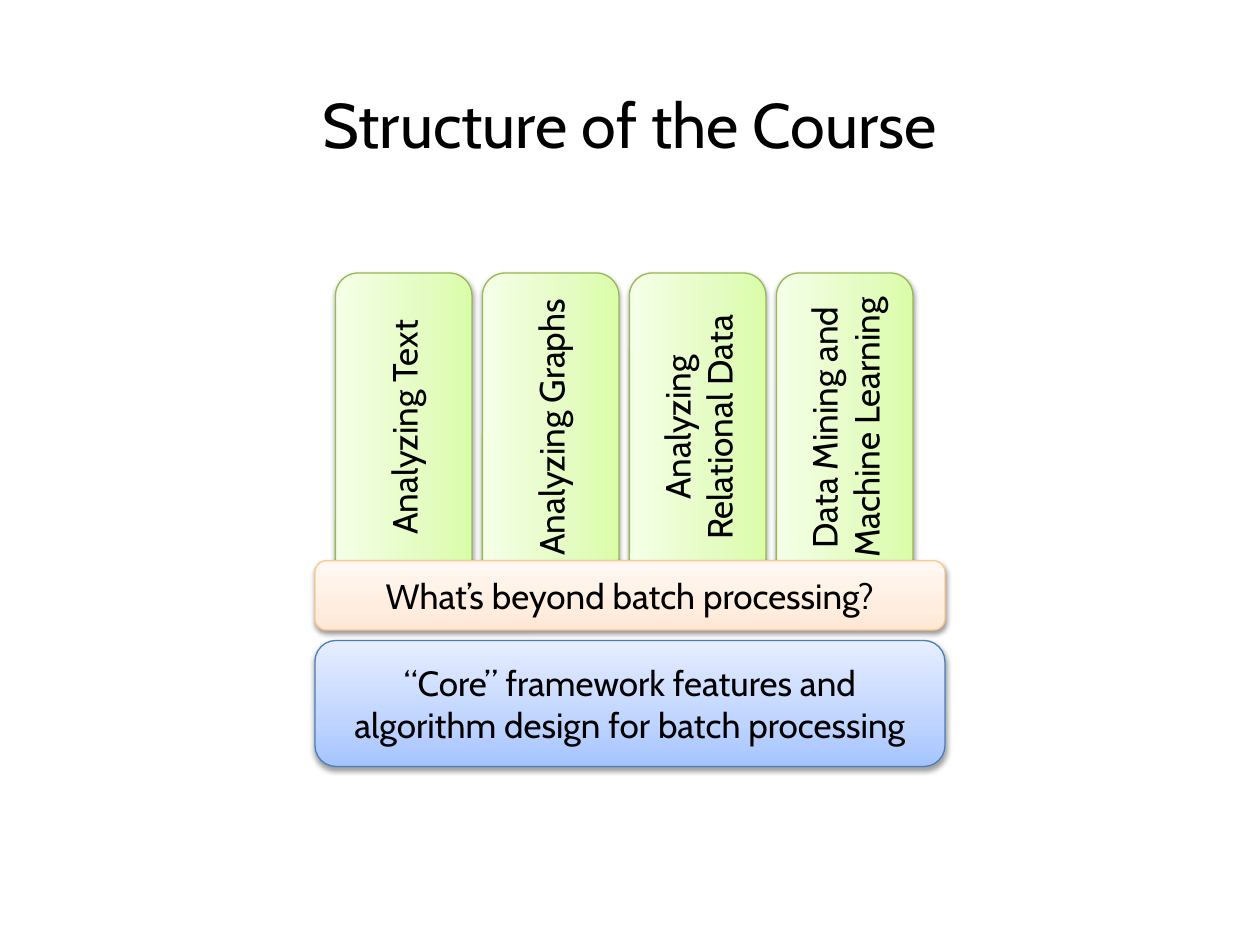
from lxml import etree
from pptx import Presentation
from pptx.dml.color import RGBColor
from pptx.enum.shapes import MSO_SHAPE
from pptx.enum.text import MSO_ANCHOR, PP_ALIGN
from pptx.oxml import parse_xml
from pptx.oxml.ns import qn
from pptx.util import Pt

ROUND = MSO_SHAPE.ROUNDED_RECTANGLE
MIDDLE = MSO_ANCHOR.MIDDLE
CENTER = PP_ALIGN.CENTER
NS = "http://schemas.openxmlformats.org/drawingml/2006/main"

# Fills run from the bottom of a block to its top
FILLS = {
    "blue": ("A4C4FF", "BFD4FF", "E6EEFF"),
    "green": ("DAFDA7", "E4FCC2", "F5FFE7"),
    "orange": ("FFE7D4", "FFEEE0", "FFF8F3"),
}
COLORS = {"text": "000000", "blue": "4B7EBC", "green": "98B955", "orange": "FCC893"}
STOPS = (0, 35, 100)


def write(shape, text, size):
    frame = shape.text_frame
    frame.word_wrap = True
    frame.text = text
    para = frame.paragraphs[0]
    para.alignment = CENTER
    font = para.runs[0].font
    font.name = "Cabin"
    font.size = Pt(size)
    font.color.rgb = RGBColor.from_string(COLORS["text"])


def block(text, hue, left, top, width, height, turn=0):
    shape = slide.shapes.add_shape(ROUND, Pt(left), Pt(top), Pt(width), Pt(height))
    shape.rotation = turn
    shape.line.color.rgb = RGBColor.from_string(COLORS[hue])
    shape.line.width = Pt(0.75)
    write(shape, text, 20)
    shape.text_frame.vertical_anchor = MIDDLE

    # Gradient with three stops
    shape.fill.gradient()
    shape.fill.gradient_angle = 90
    stops = shape._element.spPr.find(qn("a:gradFill")).find(qn("a:gsLst"))
    for old in list(stops):
        stops.remove(old)
    for pos, color in zip(STOPS, FILLS[hue]):
        stop = etree.SubElement(stops, qn("a:gs"), pos=str(pos * 1000))
        etree.SubElement(stop, qn("a:srgbClr"), val=color)

    # Soft shadow below
    shape.shadow.inherit = False
    shape._element.spPr.find(qn("a:effectLst")).append(parse_xml(
        f'<a:outerShdw xmlns:a="{NS}" blurRad="{Pt(3.1)}" dist="{Pt(1.6)}" '
        'dir="5400000" rotWithShape="0"><a:srgbClr val="000000">'
        '<a:alpha val="38000"/></a:srgbClr></a:outerShdw>'))


deck = Presentation()
deck.slide_width, deck.slide_height = Pt(720), Pt(540)
slide = deck.slides.add_slide(deck.slide_layouts[6])

# Title
title = slide.shapes.add_textbox(Pt(0), Pt(43.2), Pt(720), Pt(54))
write(title, "Structure of the Course", 36)
title.text_frame.vertical_anchor = MIDDLE

# Base
block("“Core” framework features and algorithm design for batch processing",
      "blue", 180, 366, 360, 72)

# Pillars, turned to read upwards
topics = ("Analyzing Text", "Analyzing Graphs", "Analyzing Relational Data",
          "Data Mining and Machine Learning")
for i, topic in enumerate(topics):
    block(topic, "green", 142.5 + 84 * i, 205.2, 176.4, 78, 270)

# Band in front of the pillars
block("What’s beyond batch processing?", "orange", 180, 320.4, 360, 39.6)

deck.save("out.pptx")
